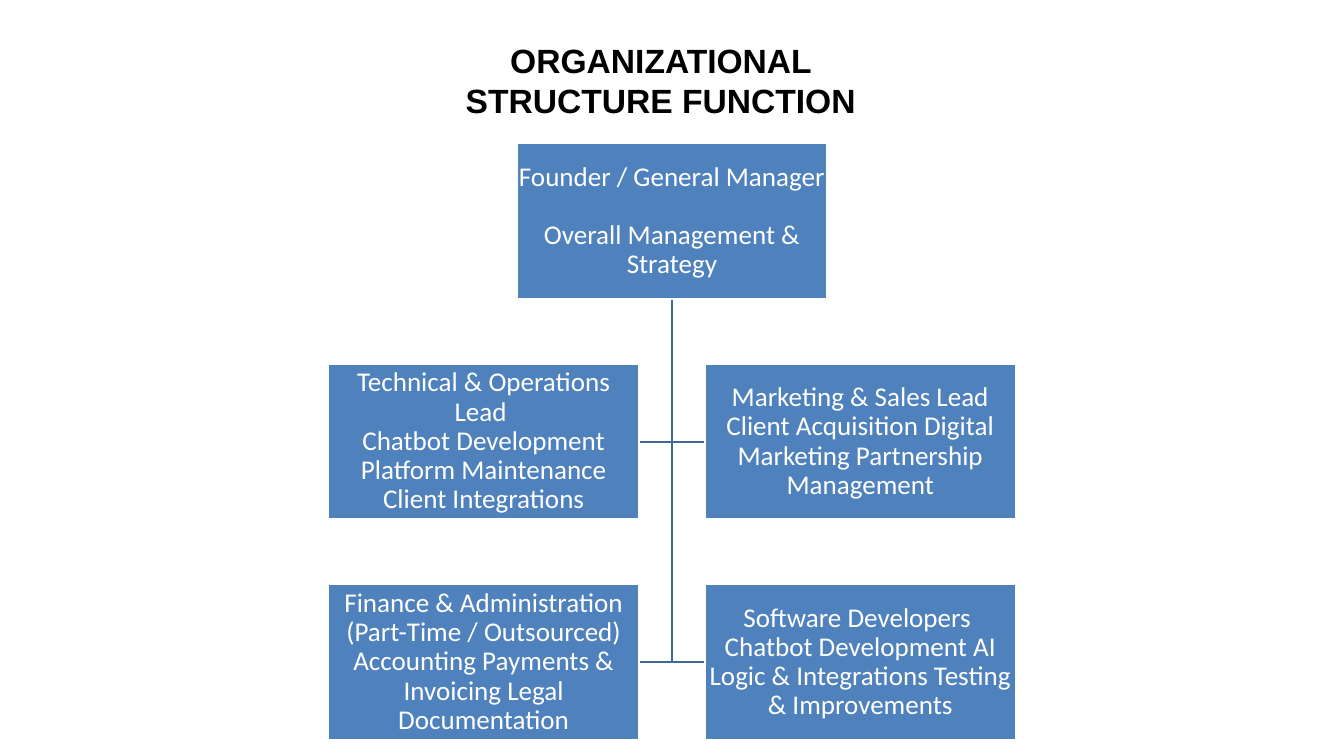
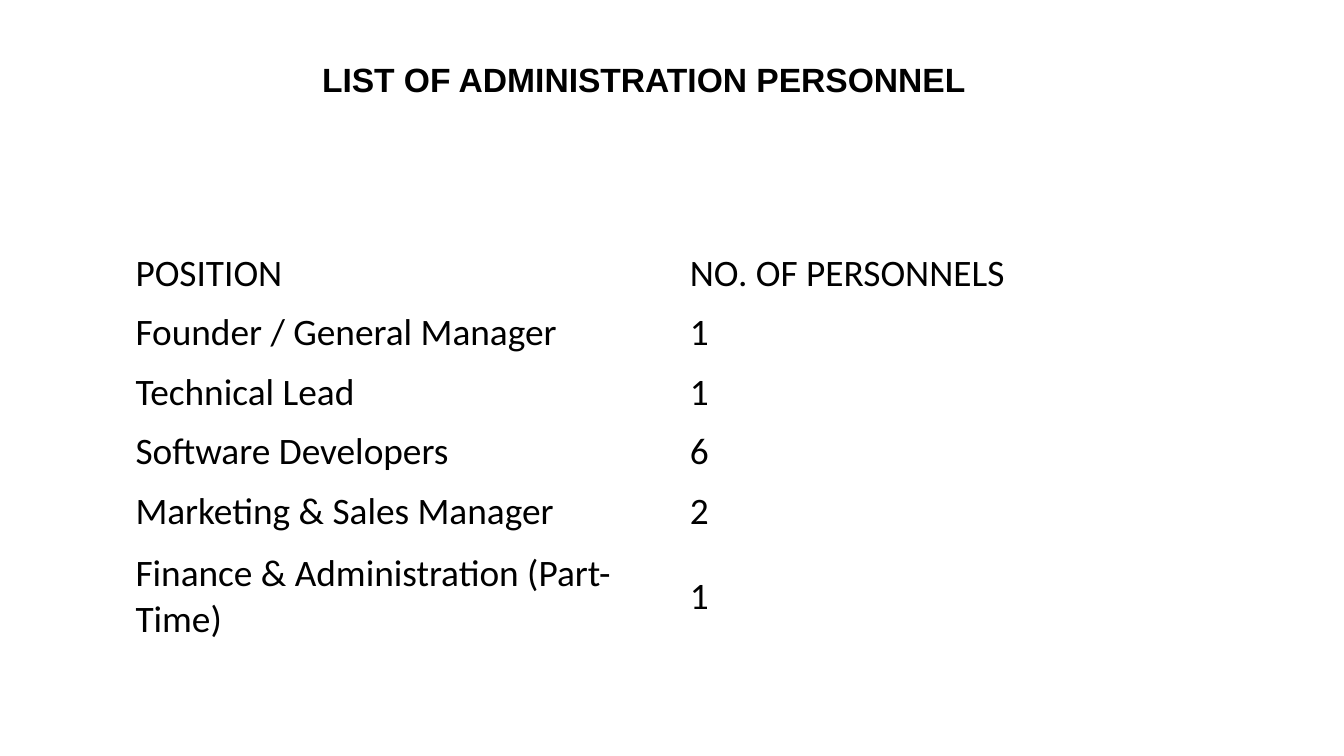
from pptx import Presentation
from pptx.dml.color import RGBColor
from pptx.enum.shapes import MSO_SHAPE as Shape
from pptx.enum.text import MSO_ANCHOR as Anchor, MSO_AUTO_SIZE as Fit, PP_ALIGN as Align
from pptx.util import Pt

PX = 9525  # one px in EMU, 96 px to the inch
BLUE, EDGE, WHITE, BLACK = "4F81BD", "3F6797", "FFFFFF", "000000"


def rgb(code):
    return RGBColor.from_string(code)


def add_slide(text, left, top, width, height):
    """Add a slide with its title placeholder placed and styled."""
    slide = deck.slides.add_slide(deck.slide_layouts[5])
    title = slide.shapes.title
    title.left, title.top = left * PX, top * PX
    title.width, title.height = width * PX, height * PX
    frame = title.text_frame
    frame.text = text
    frame.word_wrap = True
    frame.auto_size = Fit.SHAPE_TO_FIT_TEXT
    frame.vertical_anchor = Anchor.TOP
    para = frame.paragraphs[0]
    para.alignment = Align.CENTER
    font = para.font
    font.name, font.size, font.bold = "Arial", Pt(36), True
    font.color.rgb = rgb(BLACK)
    return slide


deck = Presentation()
deck.slide_width, deck.slide_height = 1920 * PX, 1080 * PX

# Slide 1: organization chart
slide = add_slide("ORGANIZATIONAL STRUCTURE FUNCTION", 568, 52, 752, 126)

# Chart grid: a central trunk with a box on each side per level
MID, GAP, WIDE, HIGH, TOP, STEP = 960, 47, 444, 222, 205, 315
LEFT, RIGHT = MID - GAP - WIDE, MID + GAP

# Branches from the founder box to each lead
for level in (2, 1):
    for side in (GAP, -GAP):
        bend = TOP + level * STEP + HIGH // 2
        pen = slide.shapes.build_freeform(MID, TOP + HIGH, scale=PX)
        pen.add_line_segments([(MID, bend), (MID + side, bend)], close=False)
        branch = pen.convert_to_shape()
        branch.shadow.inherit = False
        branch.fill.background()
        branch.line.color.rgb = rgb(EDGE)
        branch.line.width = Pt(2)

# Role boxes: left edge, level, text
roles = [
    (MID - WIDE // 2, 0, "Founder / General Manager \vOverall Management & Strategy"),
    (LEFT, 1, "Technical & Operations Lead \vChatbot Development "
              "Platform Maintenance Client Integrations"),
    (RIGHT, 1, "Marketing & Sales Lead Client Acquisition Digital "
               "Marketing Partnership Management"),
    (LEFT, 2, "Finance & Administration (Part-Time / Outsourced) "
              "Accounting Payments & Invoicing Legal Documentation"),
    (RIGHT, 2, "Software Developers \vChatbot Development AI "
               "Logic & Integrations Testing & Improvements"),
]
for left, level, text in roles:
    box = slide.shapes.add_shape(Shape.RECTANGLE, left * PX, (TOP + level * STEP) * PX,
                                 WIDE * PX, HIGH * PX)
    box.shadow.inherit = False
    box.fill.solid()
    box.fill.fore_color.rgb = rgb(BLUE)
    box.line.color.rgb = rgb(WHITE)
    box.line.width = Pt(2)
    frame = box.text_frame
    frame.word_wrap = True
    frame.vertical_anchor = Anchor.MIDDLE
    frame.margin_left = frame.margin_right = 2 * PX
    frame.margin_top = frame.margin_bottom = 2 * PX
    para = frame.paragraphs[0]
    para.text = text
    para.alignment = Align.CENTER
    para.line_spacing = 0.9
    para.font.name, para.font.size = "Calibri", Pt(29)
    para.font.color.rgb = rgb(WHITE)

# Slide 2: personnel table
slide = add_slide("LIST OF ADMINISTRATION PERSONNEL", 440, 80, 960, 68)
staff = [
    ("POSITION", "NO. OF PERSONNELS"),
    ("Founder / General Manager", "1"),
    ("Technical Lead", "1"),
    ("Software Developers", "6"),
    ("Marketing & Sales Manager", "2"),
    ("Finance & Administration (Part-Time)", "1"),
]
ROW, LAST = 85, 159
table = slide.shapes.add_table(len(staff), 2, 184 * PX, 348 * PX, 1584 * PX,
                               (5 * ROW + LAST) * PX).table
table.first_row = table.horz_banding = False
for r, entry in enumerate(staff):
    table.rows[r].height = (LAST if r == len(staff) - 1 else ROW) * PX
    for c, text in enumerate(entry):
        cell = table.cell(r, c)
        cell.fill.background()
        cell.vertical_anchor = Anchor.MIDDLE
        cell.text = text
        font = cell.text_frame.paragraphs[0].font
        font.name, font.size = "Calibri", Pt(40)
        font.color.rgb = rgb(BLACK)

deck.save("out.pptx")
